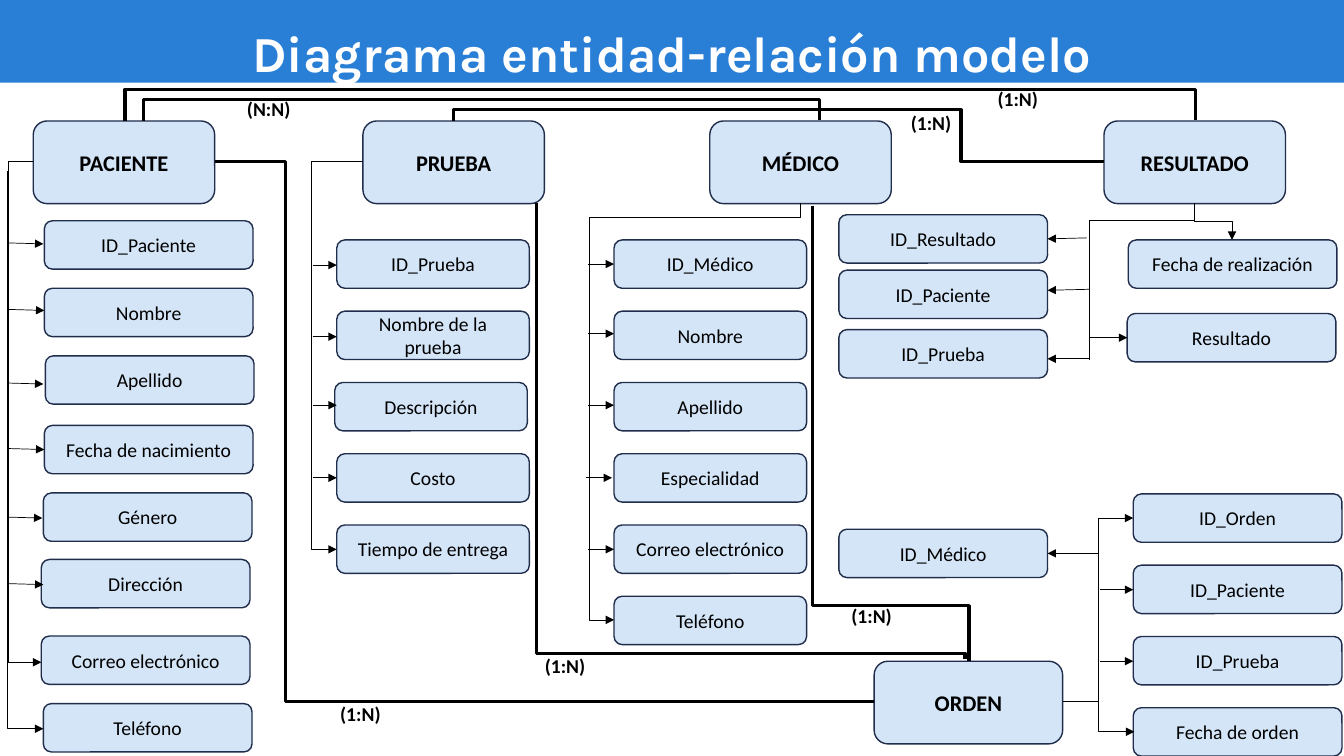
"""Build the entity-relationship slide of a clinic laboratory."""
import lxml.etree
import pptx
import pptx.dml.color
import pptx.enum.shapes
import pptx.enum.text
import pptx.oxml.ns
import pptx.util

Inches = pptx.util.Inches
RGB = pptx.dml.color.RGBColor
Kind = pptx.enum.shapes.MSO_SHAPE
Wire = pptx.enum.shapes.MSO_CONNECTOR
Anchor = pptx.enum.text.MSO_ANCHOR
qn = pptx.oxml.ns.qn

BLUE = RGB(0x29, 0x7F, 0xD5)
PALE = RGB(0xD4, 0xE5, 0xF7)
NAVY = RGB(0x20, 0x2D, 0x4B)
BLACK = RGB(0, 0, 0)
WHITE = RGB(255, 255, 255)
STEP = 0.707


def write(shape, text, size=14, bold=False, font="Calibri", color=BLACK, anchor=Anchor.MIDDLE):
    frame = shape.text_frame
    frame.word_wrap = True
    frame.vertical_anchor = anchor
    para = frame.paragraphs[0]
    para.alignment = pptx.enum.text.PP_ALIGN.CENTER
    run = para.add_run()
    run.text = text
    run.font.size = pptx.util.Pt(size)
    run.font.bold = bold
    run.font.name = font
    run.font.color.rgb = color


class Board:
    def __init__(self, slide):
        self.slide = slide
        self.thin = 0.5
        self.thick = 2.25

    def block(self, kind, box, fill, edge=None):
        shape = self.slide.shapes.add_shape(kind, *map(Inches, box))
        shape.shadow.inherit = False
        shape.fill.solid()
        shape.fill.fore_color.rgb = fill
        if edge is None:
            shape.line.fill.background()
        else:
            shape.line.color.rgb = edge
            shape.line.width = pptx.util.Pt(1)
        return shape

    def label(self, box, text, **style):
        shape = self.slide.shapes.add_textbox(*map(Inches, box))
        write(shape, text, anchor=Anchor.TOP, bold=True, **style)

    def entity(self, left, top, text, width=1.8):
        shape = self.block(Kind.ROUNDED_RECTANGLE, (left, top, width, 0.82), PALE, NAVY)
        write(shape, text, size=16, bold=True)

    def field(self, left, top, text, width=2.07):
        shape = self.block(Kind.ROUNDED_RECTANGLE, (left, top, width, 0.48), PALE, NAVY)
        write(shape, text)

    def link(self, *points, width=None, arrow=True):
        kind = Wire.STRAIGHT if len(points) == 2 else Wire.ELBOW
        ends = [Inches(n) for n in points[0] + points[-1]]
        wire = self.slide.shapes.add_connector(kind, *ends)
        wire.line.color.rgb = BLACK
        wire.line.width = pptx.util.Pt(width or self.thin)
        if arrow:
            line = wire.line._get_or_add_ln()
            lxml.etree.SubElement(line, qn("a:tailEnd"), type="triangle")
        lxml.etree.SubElement(wire.element.spPr, qn("a:effectLst"))
        if len(points) > 2:
            self.bend(wire, points)

    def bend(self, wire, points):
        (x0, y0), (x1, y1) = points[0], points[-1]
        dx, dy = x1 - x0, y1 - y0
        upright = points[1][0] == x0
        wide, high = abs(dx), abs(dy)
        turn, flip = 0, (dx < 0, dy < 0)
        if upright:
            wide, high = high, wide
            turn, flip = 90, (dy < 0, dx > 0)
            if dx > 0 and dy > 0:
                turn, flip = 270, (True, False)
        wire.left = Inches((x0 + x1 - wide) / 2)
        wire.top = Inches((y0 + y1 - high) / 2)
        wire.width, wire.height = Inches(wide), Inches(high)
        form = wire.element.spPr.find(qn("a:xfrm"))
        form.set("rot", str(turn * 60000))
        for name, on in zip(("flipH", "flipV"), flip):
            form.set(name, str(int(on)))
        geom = wire.element.spPr.find(qn("a:prstGeom"))
        geom.set("prst", f"bentConnector{len(points) - 1}")
        guides = geom.find(qn("a:avLst"))
        for i, (x, y) in enumerate(points[1:-2]):
            down = upright == (i % 2 == 0)
            ratio = (y - y0) / dy if down else (x - x0) / dx
            lxml.etree.SubElement(guides, qn("a:gd"), name=f"adj{i + 1}",
                                  fmla=f"val {round(ratio * 100000)}")


def main():
    deck = pptx.Presentation()
    deck.slide_width, deck.slide_height = Inches(13.33), Inches(7.5)
    board = Board(deck.slides.add_slide(deck.slide_layouts[6]))
    board.block(Kind.RECTANGLE, (0, 0, 13.33, 0.82), BLUE)
    board.label((0, 0.17, 13.33, 0.71), "Diagrama entidad-relación modelo",
                size=36, font="Karla", color=WHITE)

    for left, text in ((0.33, "PACIENTE"), (3.6, "PRUEBA"),
                       (7.04, "MÉDICO"), (10.95, "RESULTADO")):
        board.entity(left, 1.2, text)
    board.entity(8.67, 6.56, "ORDEN", width=1.87)

    for left, top, text in (
            (0.44, 2.19, "ID_Paciente"), (0.44, 2.86, "Nombre"),
            (0.45, 3.53, "Apellido"), (0.44, 4.22, "Fecha de nacimiento"),
            (0.43, 4.89, "Género"), (0.41, 5.55, "Dirección"),
            (0.41, 6.31, "Correo electrónico"), (0.43, 6.98, "Teléfono"),
            (8.32, 2.13, "ID_Resultado"), (8.32, 2.68, "ID_Paciente"),
            (8.32, 3.27, "ID_Prueba"), (8.32, 5.25, "ID_Médico"),
            (11.19, 2.38, "Fecha de realización"), (11.18, 3.11, "Resultado")):
        board.field(left, top, text)

    tests = ("ID_Prueba", "Nombre de la prueba", "Descripción", "Costo", "Tiempo de entrega")
    staff = ("ID_Médico", "Nombre", "Apellido", "Especialidad", "Correo electrónico", "Teléfono")
    orders = ("ID_Orden", "ID_Paciente", "ID_Prueba", "Fecha de orden")
    for left, top, width, names in ((3.34, 2.38, 1.91, tests), (6.09, 2.38, 1.91, staff),
                                    (11.24, 4.9, 2.07, orders)):
        for i, text in enumerate(names):
            shift = 0.02 if text == "Descripción" else 0
            board.field(left - shift, top + STEP * i, text, width=width)

    for x, y in ((0.08, 2.41), (0.09, 3.07), (0.08, 3.8), (0.09, 4.45), (0.07, 5.13), (0.08, 5.79)):
        board.link((x, y), (x + 0.35, y + 0.01))
    for y in (2.63, 3.34, 4.02, 4.74):
        board.link((3.1, y), (3.34, y))
    for y in (2.62, 3.31, 4.02, 4.74, 5.45):
        x = 5.81 if y == 4.74 else 5.83
        board.link((x, y), (x + 0.26, y))
    for y in (5.85, 6.56):
        board.link((10.91, y), (11.24, y))
    for x, y, drop in ((10.78, 2.36, 0.01), (10.81, 2.87, 0.01), (10.81, 3.56, 0), (10.89, 5.49, 0)):
        board.link((x, y), (10.39, y + drop))
    board.link((10.8, 3.57), (10.8, 3.34), arrow=False)

    for route in (
            ((0.07, 1.7), (0.07, 7.23), (0.43, 7.23)),
            ((0.33, 1.6), (0.08, 1.6), (0.08, 6.57), (0.41, 6.57)),
            ((3.6, 1.6), (3.09, 1.6), (3.09, 5.45), (3.34, 5.45)),
            ((7.94, 2.01), (7.94, 2.16), (5.84, 2.16), (5.84, 6.15), (6.09, 6.15)),
            ((11.85, 2.01), (11.85, 2.2), (12.22, 2.2), (12.22, 2.38)),
            ((11.85, 2.01), (11.85, 2.19), (10.8, 2.19), (10.8, 3.35), (11.18, 3.35)),
            ((10.54, 6.96), (10.89, 6.96), (10.89, 5.14), (11.24, 5.14)),
            ((10.56, 6.96), (10.89, 6.96), (10.89, 7.26), (11.25, 7.26))):
        board.link(*route)

    for route in (
            ((1.24, 1.2), (1.24, 0.88), (11.86, 0.88), (11.86, 1.19)),
            ((1.42, 1.2), (1.42, 0.98), (8.13, 0.98), (8.13, 1.19)),
            ((4.5, 1.2), (4.5, 1.09), (9.53, 1.09), (9.53, 1.6), (10.95, 1.6)),
            ((2.13, 1.6), (2.83, 1.6), (2.83, 6.96), (8.67, 6.96)),
            ((5.32, 2.01), (5.32, 6.48), (9.57, 6.48), (9.57, 6.54)),
            ((8.06, 2.04), (8.06, 6.01), (9.61, 6.01), (9.61, 6.56))):
        board.link(*route, width=board.thick, arrow=False)

    for left, top, text in ((9.74, 0.81, "(1:N)"), (8.88, 1.05, "(1:N)"), (3.22, 6.91, "(1:N)"),
                            (5.25, 6.44, "(1:N)"), (8.29, 5.94, "(1:N)"), (2.31, 0.91, "(N:N)")):
        board.label((left, top, 0.71, 0.34), text)
    deck.save("out.pptx")


if __name__ == "__main__":
    main()
